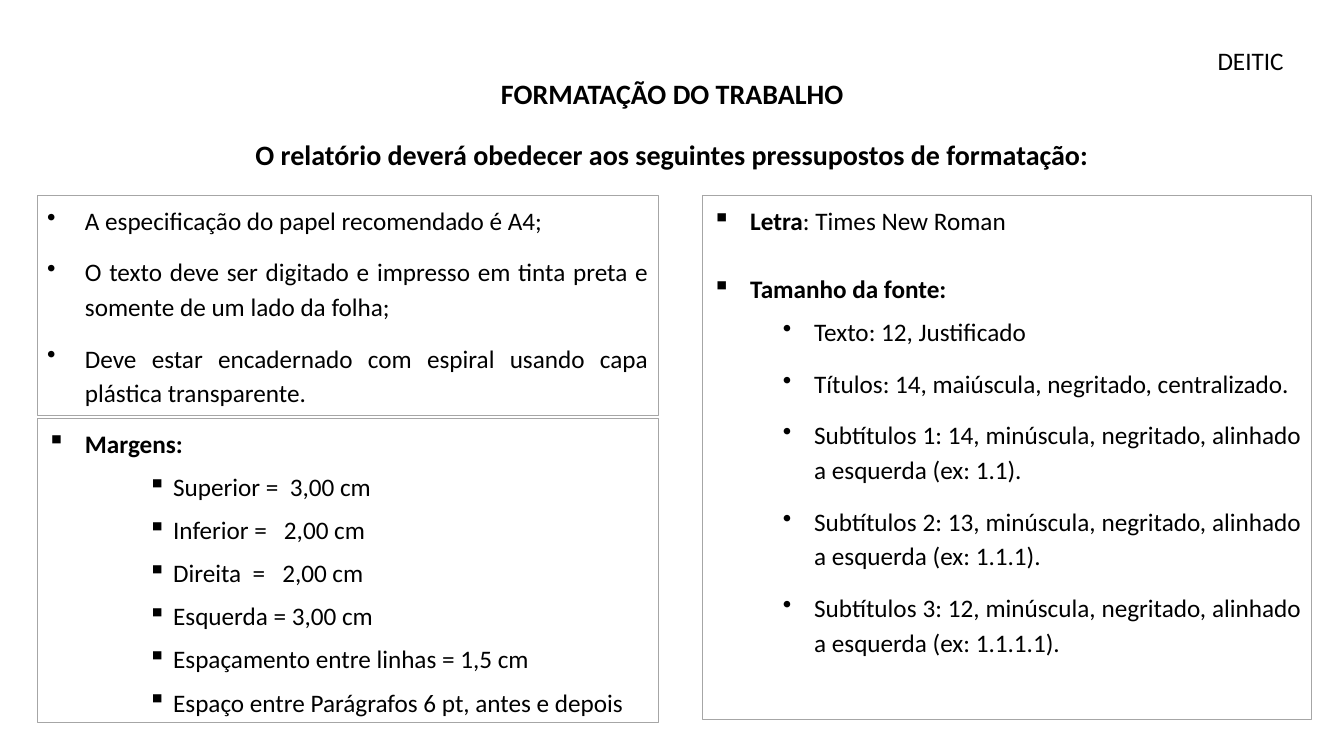
from dataclasses import dataclass

from lxml import etree
from pptx import Presentation
from pptx import util as u
from pptx.dml import color as dml
from pptx.enum import shapes, text
from pptx.oxml import ns

BLACK, GREY = "000000", "A6A6A6"
LEFT, CENTER, JUST = text.PP_ALIGN.LEFT, text.PP_ALIGN.CENTER, text.PP_ALIGN.JUSTIFY
DOT, SQUARE = "•", "▪"


@dataclass(frozen=True)
class Style:
    """Paragraph look: margin and indent in points, level and bullet."""
    margin: float = 0
    indent: float = 0
    level: int = 0
    mark: str = ""
    align: int = JUST
    space: float = 1.15


@dataclass(frozen=True)
class Para:
    style: Style
    body: str = ""
    lead: str = ""  # bold part ahead of the body
    after: float = 6


@dataclass(frozen=True)
class Box:
    left: float
    top: float
    width: float
    height: float
    paras: tuple[Para, ...]
    size: float = 18
    framed: bool = True
    wrap: bool = True
    anchor: int = text.MSO_ANCHOR.TOP


HEAD = Style(align=CENTER)
TAG = Style(align=LEFT, space=1)
RULE = Style(27, -27, 0, DOT)
TOPIC = Style(27, -27, 0, SQUARE)
EDGE = Style(90, -18, 2, SQUARE)
FONT = Style(72.7, -22.3, 1, DOT)

RULES = (
    "A especificação do papel recomendado é A4;",
    "O texto deve ser digitado e impresso em tinta preta e somente de um lado da folha;",
    "Deve estar encadernado com espiral usando capa plástica transparente.",
)
EDGES = (
    "Superior =  3,00 cm",
    "Inferior =   2,00 cm",
    "Direita  =   2,00 cm",
    "Esquerda = 3,00 cm",
    "Espaçamento entre linhas = 1,5 cm",
    "Espaço entre Parágrafos 6 pt, antes e depois",
)
SUBS = ((14, "1.1"), (13, "1.1.1"), (12, "1.1.1.1"))
FONTS = (
    "Texto: 12, Justificado",
    "Títulos: 14, maiúscula, negritado, centralizado.",
    *(f"Subtítulos {n}: {size}, minúscula, negritado, alinhado a esquerda (ex: {mark})."
      for n, (size, mark) in enumerate(SUBS, 1)),
)

COL, WIDE, TOP = 26.6, 443.5, 139.7
BOXES = (
    Box(66.2, 28.8, 828, 72.7, (Para(HEAD, lead="FORMATAÇÃO DO TRABALHO"),),
        20, False, anchor=text.MSO_ANCHOR.MIDDLE),
    Box(103.7, 91.4, 752.4, 33.1, (Para(
        HEAD, lead="O relatório deverá obedecer aos seguintes pressupostos de formatação:"),),
        20, False),
    Box(862.6, 28.8, 61.9, 28.8, (Para(TAG, "DEITIC", after=0),), framed=False, wrap=False),
    Box(COL, TOP, WIDE, 157, tuple(Para(RULE, line, after=12) for line in RULES)),
    Box(COL, 298.8, WIDE, 217.4, (
        Para(TOPIC, lead="Margens:"), *(Para(EDGE, line) for line in EDGES))),
    Box(501.8, TOP, 434.9, 374.4, (
        Para(TOPIC, ": Times New Roman", "Letra", 24),
        Para(TOPIC, lead="Tamanho da fonte:"),
        *(Para(FONT, line, after=12) for line in FONTS))),
)


def rgb(code: str) -> dml.RGBColor:
    return dml.RGBColor.from_string(code)


def put(item: object, form: dict[str, object]) -> None:
    """Set each attribute of item from form."""
    for name, value in form.items():
        setattr(item, name, value)


def bullet(para: object, style: Style) -> None:
    props = para._p.get_or_add_pPr()
    props.set("marL", str(int(u.Pt(style.margin))))
    props.set("indent", str(int(u.Pt(style.indent))))
    etree.SubElement(props, ns.qn("a:buChar")).set("char", style.mark)


def write(para: object, data: Para, size: float) -> None:
    look = data.style
    put(para, {"alignment": look.align, "level": look.level,
               "line_spacing": look.space, "space_after": u.Pt(data.after)})
    if look.mark:
        bullet(para, look)
    for words, bold in ((data.lead, True), (data.body, False)):
        if words:
            run = para.add_run()
            run.text = words
            put(run.font, {"name": "Calibri", "size": u.Pt(size), "bold": bold})
            run.font.color.rgb = rgb(BLACK)


def draw(slide: object, box: Box) -> None:
    area = [u.Pt(n) for n in (box.left, box.top, box.width, box.height)]
    if box.framed:
        shape = slide.shapes.add_shape(shapes.MSO_SHAPE.RECTANGLE, *area)
        shape.shadow.inherit = False
        shape.fill.background()
        shape.line.color.rgb = rgb(GREY)
        shape.line.width = u.Pt(0.75)
    else:
        shape = slide.shapes.add_textbox(*area)
    frame = shape.text_frame
    put(frame, {"word_wrap": box.wrap, "vertical_anchor": box.anchor})
    for n, data in enumerate(box.paras):
        write(frame.add_paragraph() if n else frame.paragraphs[0], data, box.size)


def main() -> None:
    deck = Presentation()
    put(deck, {"slide_width": u.Pt(960), "slide_height": u.Pt(540)})
    slide = deck.slides.add_slide(deck.slide_layouts[6])
    for box in BOXES:
        draw(slide, box)
    deck.save("out.pptx")


if __name__ == "__main__":
    main()
